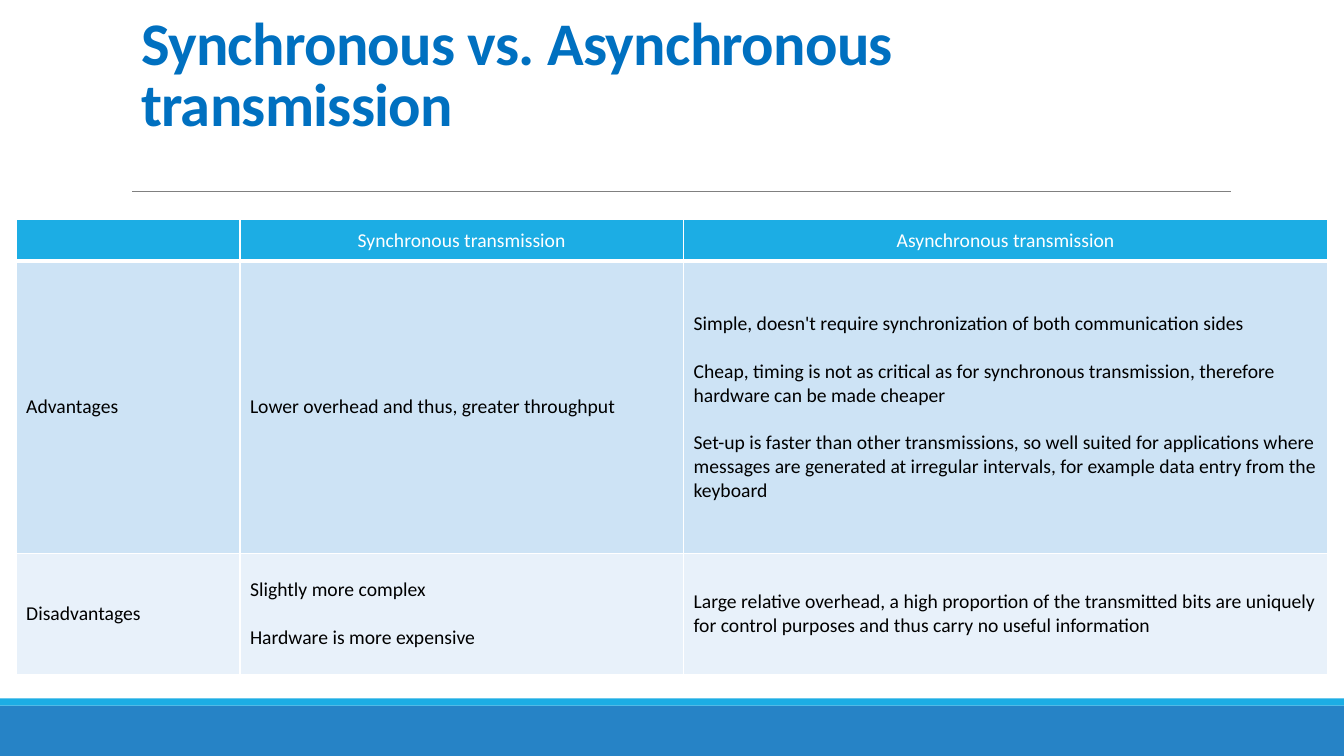
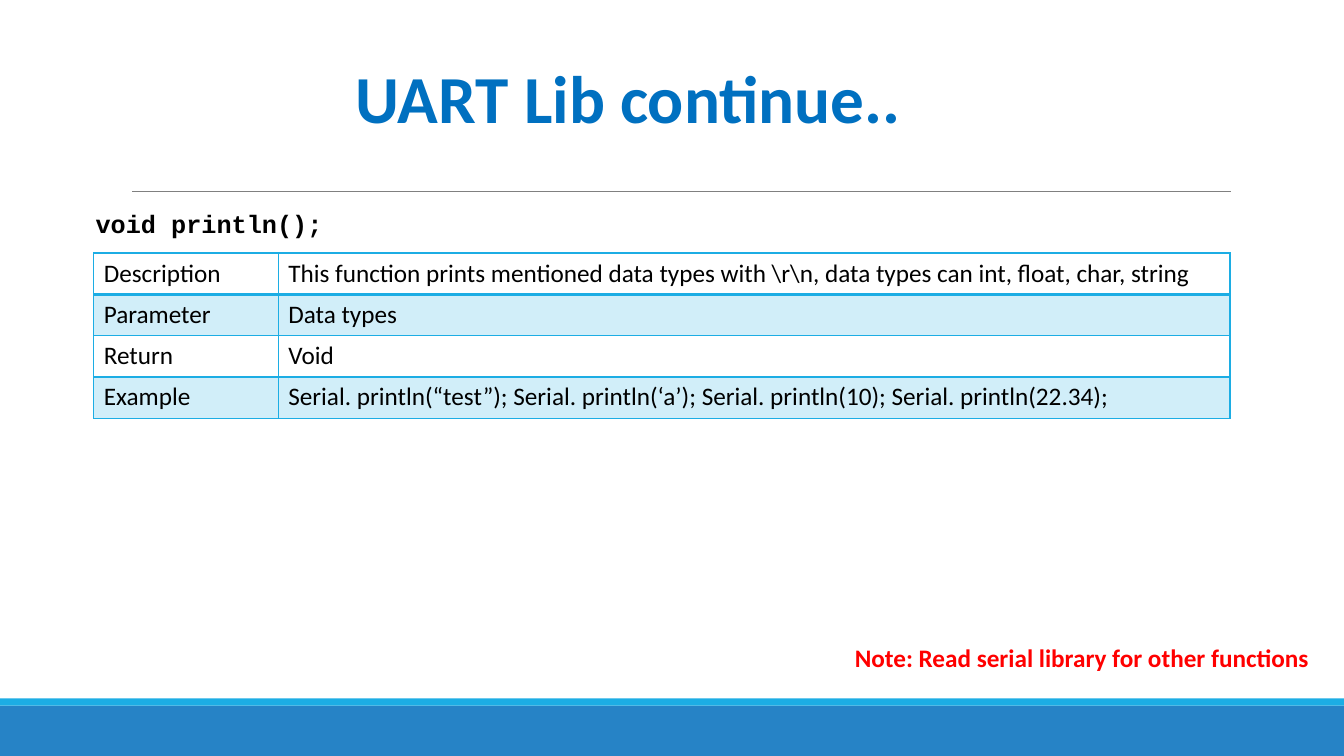
"""Build two slides on serial transmission and the UART library."""
from lxml.etree import SubElement
from pptx import Presentation
from pptx.dml.color import RGBColor
from pptx.enum.shapes import MSO_CONNECTOR, MSO_SHAPE
from pptx.enum.text import MSO_ANCHOR, MSO_AUTO_SIZE, PP_ALIGN
from pptx.oxml.ns import qn
from pptx.util import Pt

PX = 9144
BLUE = RGBColor(0x26, 0x83, 0xC6)
CYAN = RGBColor(0x1C, 0xAD, 0xE4)
TITLE_BLUE = RGBColor(0x00, 0x70, 0xC0)
GRAY = RGBColor(0x80, 0x80, 0x80)
BAND_DARK = RGBColor(0xCD, 0xE3, 0xF5)
BAND_LIGHT = RGBColor(0xE8, 0xF1, 0xFA)
WHITE = RGBColor(0xFF, 0xFF, 0xFF)
BLACK = RGBColor(0x00, 0x00, 0x00)
RED = RGBColor(0xFF, 0x00, 0x00)
BODY_FONT = "Calibri"
CODE_FONT = "Courier New"

TRANSMISSION_ROWS = [
    ["", "Synchronous transmission", "Asynchronous transmission"],
    ["Advantages",
     "Lower overhead and thus, greater throughput",
     "Simple, doesn't require synchronization of both communication sides\n"
     "Cheap, timing is not as critical as for synchronous transmission, "
     "therefore hardware can be made cheaper\n"
     "Set-up is faster than other transmissions, so well suited for "
     "applications where messages are generated at irregular intervals, "
     "for example data entry from the keyboard"],
    ["Disadvantages",
     "Slightly more complex\nHardware is more expensive",
     "Large relative overhead, a high proportion of the transmitted bits are "
     "uniquely for control purposes and thus carry no useful information"],
]
PRINTLN_ROWS = [
    ["Description", "This function prints mentioned data types with \\r\\n, "
                    "data types can int, float, char, string"],
    ["Parameter", "Data types"],
    ["Return", "Void"],
    ["Example", "Serial. println(“test”); Serial. println(‘a’); "
                "Serial. println(10); Serial. println(22.34);"],
]


def px(*lengths):
    """Turn px lengths into EMU."""
    return [length * PX for length in lengths]


def style(p, size, color, bold=False, font=BODY_FONT):
    """Set the font of a paragraph."""
    p.font.name = font
    p.font.size = Pt(size)
    p.font.bold = bold
    p.font.color.rgb = color


def add_band(slide, top, height, color):
    """Add a full-width band and return it."""
    sp = slide.shapes.add_shape(MSO_SHAPE.RECTANGLE, *px(0, top, 1333, height))
    sp.shadow.inherit = False
    sp.fill.solid()
    sp.fill.fore_color.rgb = color
    sp.line.fill.background()
    return sp


def add_rule(slide):
    """Add the line under the title and return it."""
    line = slide.shapes.add_connector(MSO_CONNECTOR.STRAIGHT, *px(131, 190, 1221, 190))
    line.line.color.rgb = GRAY
    line.line.width = Pt(0.5)
    SubElement(line.element.spPr, qn("a:effectLst"))
    return line


def decorate_layout(layout, slide):
    """Draw the shared bands and rule, then move them to the layout."""
    parts = [add_band(slide, 700, 50, BLUE), add_band(slide, 693, 7, CYAN), add_rule(slide)]
    for part in parts:
        layout.shapes.element.append(part.element)


def set_title(slide, text, box, size, anchor, spacing=1.0, tracking=0):
    """Fill, place and format the title placeholder."""
    title = slide.shapes.title
    title.left, title.top, title.width, title.height = px(*box)
    tf = title.text_frame
    tf.text = text
    tf.word_wrap = True
    tf.auto_size = MSO_AUTO_SIZE.NONE
    tf.vertical_anchor = anchor
    p = tf.paragraphs[0]
    p.alignment = PP_ALIGN.LEFT
    p.line_spacing = spacing
    style(p, size, TITLE_BLUE, bold=True)
    if tracking:
        p.font._element.set("spc", str(tracking))


def add_label(slide, text, box, color, font=BODY_FONT, wrap=True):
    """Add a bold one-line text box."""
    tf = slide.shapes.add_textbox(*px(*box)).text_frame
    tf.word_wrap = wrap
    tf.auto_size = MSO_AUTO_SIZE.SHAPE_TO_FIT_TEXT
    tf.text = text
    style(tf.paragraphs[0], 18, color, bold=True, font=font)


def set_borders(cell, color, top, bottom):
    """Draw the four borders of a cell, with widths in points."""
    tc_pr = cell._tc.get_or_add_tcPr()
    for side, width in (("L", 1), ("R", 1), ("T", top), ("B", bottom)):
        ln = SubElement(tc_pr, qn(f"a:ln{side}"), w=str(Pt(width)))
        fill = SubElement(ln, qn("a:solidFill"))
        SubElement(fill, qn("a:srgbClr"), val=str(color))


def fill_cell(cell, color, opacity=100):
    """Fill a cell, or leave it clear when there is no color."""
    if color is None:
        cell.fill.background()
        return
    cell.fill.solid()
    cell.fill.fore_color.rgb = color
    if opacity < 100:
        clr = cell._tc.tcPr.find(f"{qn('a:solidFill')}/{qn('a:srgbClr')}")
        SubElement(clr, qn("a:alpha"), val=str(opacity * 1000))


def write_cell(cell, text, size, color, align):
    """Write the lines of a cell as spaced paragraphs."""
    tf = cell.text_frame
    tf.text = text
    for i, p in enumerate(tf.paragraphs):
        p.alignment = align
        p.space_before = Pt(17 if i else 0)
        style(p, size, color)


def add_grid(slide, rows, origin, widths, heights, size, fills, border, head_line,
             head_color=BLACK, head_align=PP_ALIGN.LEFT, anchor=MSO_ANCHOR.TOP, opacity=100):
    """Add a table with one fill a row and a heavier line under the first row."""
    box = px(*origin, sum(widths), sum(heights))
    table = slide.shapes.add_table(len(rows), len(widths), *box).table
    table.first_row = table.horz_banding = False
    for column, width in zip(table.columns, widths):
        column.width = width * PX
    for r, (texts, height) in enumerate(zip(rows, heights)):
        table.rows[r].height = height * PX
        for c, text in enumerate(texts):
            cell = table.cell(r, c)
            set_borders(cell, border, head_line if r == 1 else 1, head_line if r == 0 else 1)
            fill_cell(cell, fills[r], opacity)
            cell.vertical_anchor = anchor
            write_cell(cell, text, size, BLACK if r else head_color,
                       PP_ALIGN.LEFT if r else head_align)


def build_comparison(slide):
    """Compare the two kinds of transmission."""
    set_title(slide, "Synchronous vs. Asynchronous transmission", (130, 63, 1073, 80),
              43.2, MSO_ANCHOR.BOTTOM, spacing=0.85, tracking=-50)
    add_grid(slide, TRANSMISSION_ROWS, (16, 218), (222, 440, 639), (41, 290, 120), 14,
             (CYAN, BAND_DARK, BAND_LIGHT), WHITE, 3, head_color=WHITE,
             head_align=PP_ALIGN.CENTER, anchor=MSO_ANCHOR.MIDDLE)


def build_println(slide):
    """Describe the println function."""
    set_title(slide, "UART Lib continue..", (343, 51, 581, 91), 48, MSO_ANCHOR.TOP)
    add_label(slide, "void println();", (85, 202, 257, 40), BLACK, font=CODE_FONT)
    add_grid(slide, PRINTLN_ROWS, (93, 251), (183, 944), [41] * 4, 18,
             (None, CYAN) * 2, CYAN, 2, opacity=20)
    add_label(slide, "Note: Read serial library for other functions",
              (838, 632, 474, 40), RED, wrap=False)


def main():
    """Build and save the presentation."""
    prs = Presentation()
    prs.slide_width, prs.slide_height = px(1333, 750)
    layout = prs.slide_layouts[5]
    comparison, println = [prs.slides.add_slide(layout) for _ in range(2)]
    decorate_layout(layout, comparison)
    build_comparison(comparison)
    build_println(println)
    prs.save("out.pptx")


if __name__ == "__main__":
    main()
